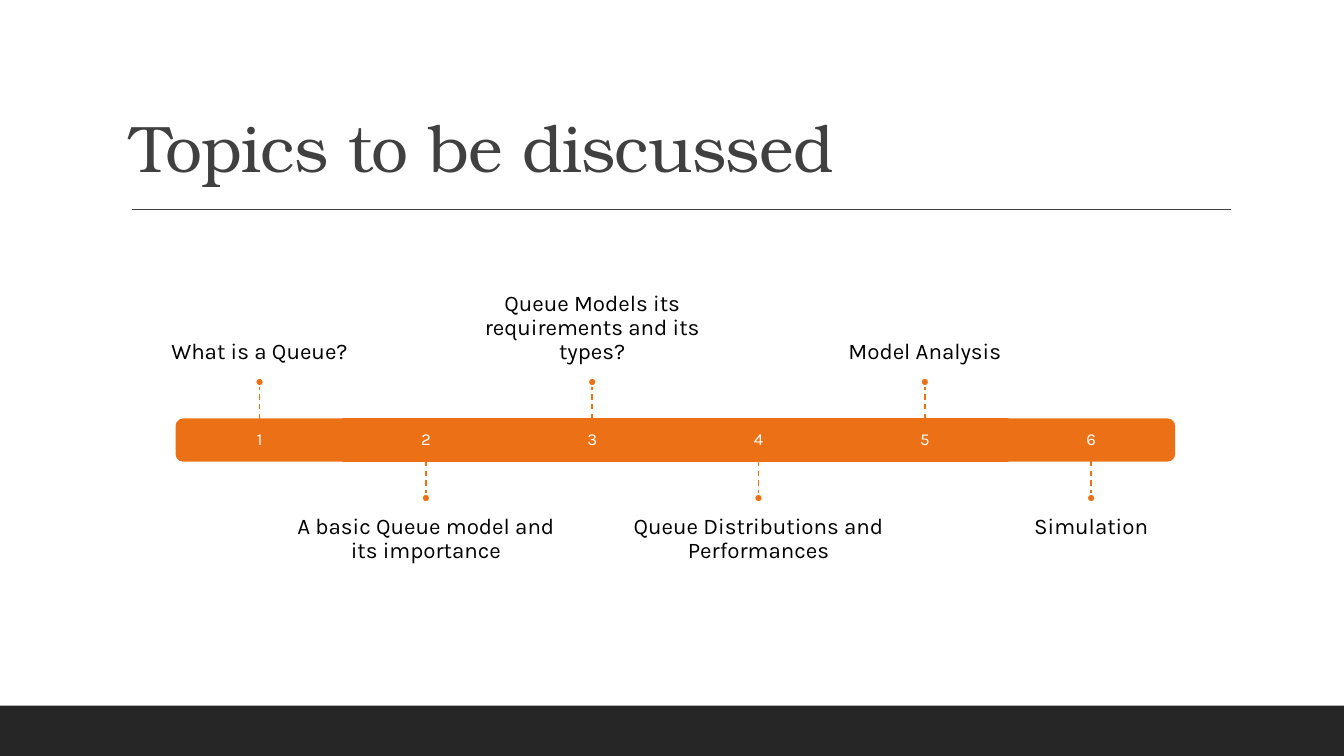
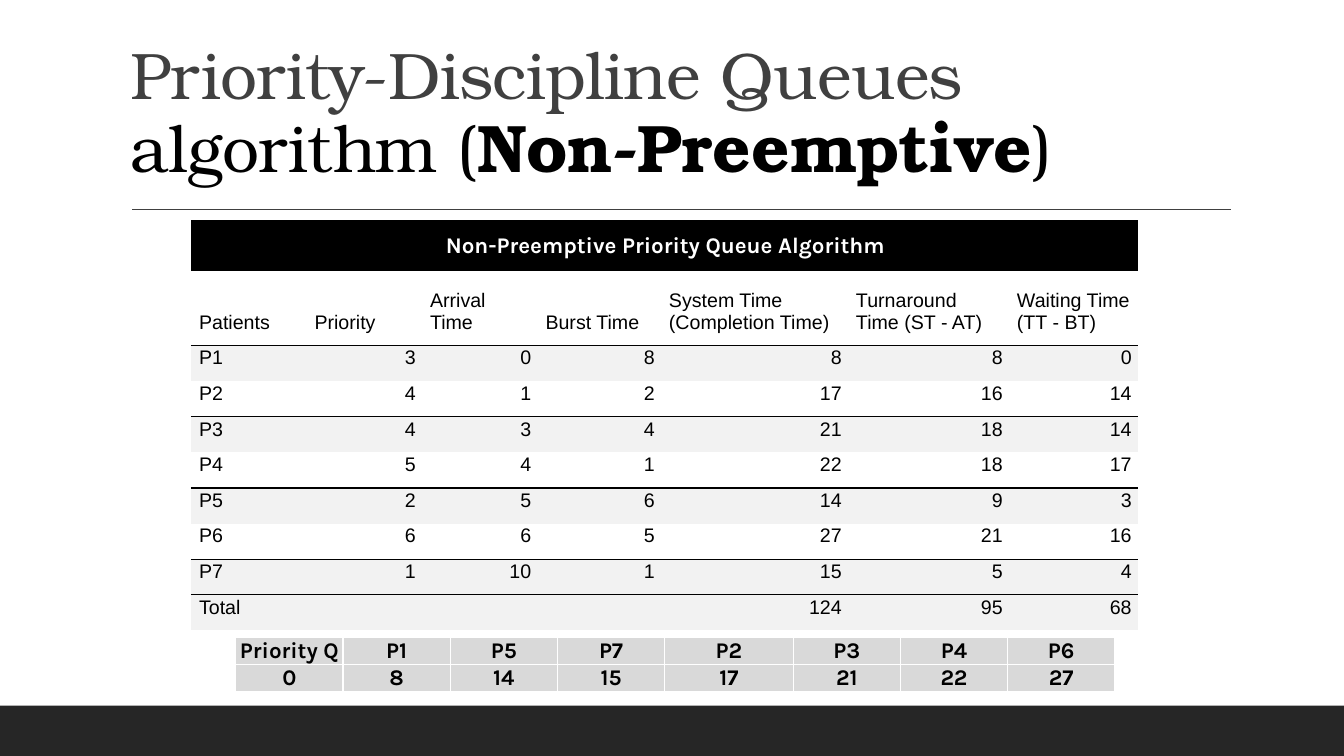
"""Build two slides on queues: a topic timeline and a priority scheduling table."""
import lxml.etree
import pptx
import pptx.dml.color
import pptx.enum.dml
import pptx.enum.shapes
import pptx.enum.text
import pptx.oxml.ns
import pptx.util

Pt = pptx.util.Pt
qn = pptx.oxml.ns.qn
SHAPE = pptx.enum.shapes.MSO_SHAPE
ALIGN = pptx.enum.text.PP_ALIGN
ANCHOR = pptx.enum.text.MSO_ANCHOR

COLORS = {"ink": "000000", "title": "404040", "band": "262626", "accent": "EC7016",
          "white": "FFFFFF", "stripe": "F2F2F2", "grey": "D9D9D9"}
HEAD_FONT, BODY_FONT, GRID_FONT = "TeX Gyre Bonum", "Karla", "Arial"
NO_STYLE = "{2D5ABB26-0587-4C30-8999-92F81FD0307C}"

TITLE_STYLE = {"font": HEAD_FONT, "size": 47, "color": "title", "spc": -50}
INK_TITLE = {**TITLE_STYLE, "color": "ink"}
TOPICS_TITLE = [("Topics to be discussed", TITLE_STYLE)]
PRIORITY_TITLE = [
    ("Priority-Discipline Queues ", TITLE_STYLE),
    ("algorithm (", INK_TITLE),
    ("Non-Preemptive", {**INK_TITLE, "size": 48, "bold": True, "spc": 0}),
    (")", INK_TITLE),
]

TOPICS = [
    "What is a Queue?",
    "A basic Queue model and its importance",
    "Queue Models its requirements and its types?",
    "Queue Distributions and Performances",
    "Model Analysis",
    "Simulation",
]

SCHEDULE_TITLE = "Non-Preemptive Priority Queue Algorithm"
SCHEDULE_HEAD = ["Patients", "Priority", "Arrival Time", "Burst Time",
                 "System Time (Completion Time)", "Turnaround Time (ST - AT)",
                 "Waiting Time (TT - BT)"]
SCHEDULE = [
    ("P1", 3, 0, 8, 8, 8, 0),
    ("P2", 4, 1, 2, 17, 16, 14),
    ("P3", 4, 3, 4, 21, 18, 14),
    ("P4", 5, 4, 1, 22, 18, 17),
    ("P5", 2, 5, 6, 14, 9, 3),
    ("P6", 6, 6, 5, 27, 21, 16),
    ("P7", 1, 10, 1, 15, 5, 4),
    ("Total", "", "", "", 124, 95, 68),
]
SCHEDULE_WIDTHS = [82.5, 82.5, 82.5, 88.2, 133.6, 115, 92.1]
ORDER = [
    ("Priority Q", "P1", "P5", "P7", "P2", "P3", "P4", "P6"),
    (0, 8, 14, 15, 17, 21, 22, 27),
]
ORDER_WIDTHS = [76.6] * 4 + [91.8] + [76.6] * 3


def rgb(name):
    return pptx.dml.color.RGBColor.from_string(COLORS[name])


def add_run(p, text, font, size, color, bold=False, spc=0):
    r = p.add_run()
    r.text = text
    r.font.name, r.font.size, r.font.bold = font, Pt(size), bold
    r.font.color.rgb = rgb(color)
    if spc:
        r._r.get_or_add_rPr().set("spc", str(spc))


def add_text(s, box, runs, anchor, align, insets):
    tf = s.shapes.add_textbox(*map(Pt, box)).text_frame
    tf.word_wrap, tf.vertical_anchor = True, anchor
    tf.margin_left, tf.margin_top, tf.margin_right, tf.margin_bottom = map(Pt, insets)
    p = tf.paragraphs[0]
    p.alignment, p.line_spacing = align, 0.9
    for text, style in runs:
        add_run(p, text, **style)


def add_shape(s, kind, box, fill, line=None):
    sp = s.shapes.add_shape(kind, *map(Pt, box))
    sp.shadow.inherit = False
    sp.fill.solid()
    sp.fill.fore_color.rgb = rgb(fill)
    if line:
        sp.line.color.rgb, sp.line.width = rgb(line), Pt(1.25)
    else:
        sp.line.fill.background()
    return sp


def add_line(s, x1, y1, x2, y2, color):
    kind = pptx.enum.shapes.MSO_CONNECTOR.STRAIGHT
    line = s.shapes.add_connector(kind, *map(Pt, (x1, y1, x2, y2)))
    line.line.color.rgb, line.line.width = rgb(color), Pt(1)
    lxml.etree.SubElement(line._element.spPr, qn("a:effectLst"))
    return line


def add_slide(prs, title):
    s = prs.slides.add_slide(prs.slide_layouts[6])
    add_shape(s, SHAPE.RECTANGLE, (0, 504, 960, 36), "band")
    add_line(s, 94.5, 149.6, 879, 149.6, "title")
    add_text(s, (86.4, 22.3, 792, 114.5), title, ANCHOR.BOTTOM, ALIGN.LEFT,
             (7.2, 3.6, 7.2, 3.6))
    return s


def add_timeline(s):
    left, step, middle, bar_h = 126, 118.8, 314.3, 29.7
    stem, dot, label_w, label_h, gap = 23.7, 5.8, 198, 104.4, 9.4
    last = len(TOPICS) - 1
    for i, topic in enumerate(TOPICS):
        x = left + i * step
        cx = x + step / 2
        bar = (x, middle - bar_h / 2, step, bar_h)
        if i in (0, last):
            end = (cx - bar_h / 2, middle - step / 2, bar_h, step)
            sp = add_shape(s, SHAPE.ROUND_2_SAME_RECTANGLE, end, "accent", "accent")
            sp.rotation = 90 if i else 270
        else:
            add_shape(s, SHAPE.RECTANGLE, bar, "accent", "accent")
        number = {"font": BODY_FONT, "size": 12, "color": "white"}
        add_text(s, bar, [(str(i + 1), number)], ANCHOR.MIDDLE, ALIGN.CENTER, (7.2,) * 4)

        above = i % 2 == 0
        side = -1 if above else 1
        edge = middle + side * bar_h / 2
        tip = edge + side * stem
        far = tip + side * dot
        label_top = far - label_h if above else far
        insets = (0, 0, 0, gap) if above else (0, gap, 0, 0)
        label = {"font": BODY_FONT, "size": 16, "color": "ink"}
        add_text(s, (cx - label_w / 2, label_top, label_w, label_h), [(topic, label)],
                 ANCHOR.BOTTOM if above else ANCHOR.TOP, ALIGN.CENTER, insets)
        line = add_line(s, cx, edge, cx, tip, "accent")
        line.line.dash_style = pptx.enum.dml.MSO_LINE.DASH
        add_shape(s, SHAPE.OVAL, (cx - dot / 2, min(tip, far), dot, dot), "accent", "white")


def add_table(s, left, top, widths, heights):
    box = (left, top, sum(widths), sum(heights))
    frame = s.shapes.add_table(len(heights), len(widths), *map(Pt, box))
    table = frame.table
    table.first_row = table.horz_banding = False
    table._tbl.tblPr.find(qn("a:tableStyleId")).text = NO_STYLE
    for col, width in zip(table.columns, widths):
        col.width = Pt(width)
    for row, height in zip(table.rows, heights):
        row.height = Pt(height)
    return table


def set_cell(cell, value, style, align, anchor, insets, fill=None, borders=None):
    tcPr = cell._tc.get_or_add_tcPr()
    for side in "LRTB":
        color = (borders or {}).get(side)
        ln = lxml.etree.SubElement(tcPr, qn("a:ln" + side), w=str(Pt(1)))
        paint = lxml.etree.SubElement(ln, qn("a:solidFill" if color else "a:noFill"))
        if color:
            lxml.etree.SubElement(paint, qn("a:srgbClr"), val=COLORS[color])
    if fill:
        cell.fill.solid()
        cell.fill.fore_color.rgb = rgb(fill)
    else:
        cell.fill.background()
    cell.vertical_anchor = anchor
    cell.margin_left, cell.margin_top, cell.margin_right, cell.margin_bottom = map(Pt, insets)
    p = cell.text_frame.paragraphs[0]
    p.alignment = align
    if value == "":
        lxml.etree.SubElement(p._p, qn("a:endParaRPr"), sz=str(style["size"] * 100))
    else:
        add_run(p, str(value), **style)


def add_schedule(s):
    heights = [35.7, 53.2] + [24.3] * len(SCHEDULE)
    table = add_table(s, 136.4, 157.3, SCHEDULE_WIDTHS, heights)
    table.cell(0, 0).merge(table.cell(0, len(SCHEDULE_WIDTHS) - 1))
    heading = {"font": BODY_FONT, "size": 16, "color": "white", "bold": True}
    set_cell(table.cell(0, 0), SCHEDULE_TITLE, heading, ALIGN.CENTER, ANCHOR.MIDDLE,
             (5.8, 8.6, 4.4, 8.6), "ink")
    style = {"font": GRID_FONT, "size": 14, "color": "ink"}
    total = len(SCHEDULE)
    for i, row in enumerate([SCHEDULE_HEAD] + SCHEDULE):
        striped = i % 2 == 1 or i == total
        borders = {"T": "ink"} if striped else {}
        if i in (0, 2, 4, 6, total - 1):
            borders["B"] = "ink"
        for j, value in enumerate(row):
            align = ALIGN.RIGHT if i and j else ALIGN.LEFT
            set_cell(table.cell(i + 1, j), value, style, align, ANCHOR.BOTTOM,
                     (5.8, 0, 4.4, 8.6), "stripe" if striped else None, borders)


def add_order(s):
    table = add_table(s, 168.4, 455.5, ORDER_WIDTHS, [18.2] * len(ORDER))
    style = {"font": BODY_FONT, "size": 16, "color": "ink", "bold": True}
    for i, row in enumerate(ORDER):
        for j, value in enumerate(row):
            set_cell(table.cell(i, j), value, style, ALIGN.CENTER, ANCHOR.BOTTOM,
                     (0, 0, 0, 0), "grey", dict.fromkeys("LRTB", "white"))


def main():
    prs = pptx.Presentation()
    prs.slide_width, prs.slide_height = Pt(960), Pt(540)
    add_timeline(add_slide(prs, TOPICS_TITLE))
    s = add_slide(prs, PRIORITY_TITLE)
    add_schedule(s)
    add_order(s)
    prs.save("out.pptx")


if __name__ == "__main__":
    main()
